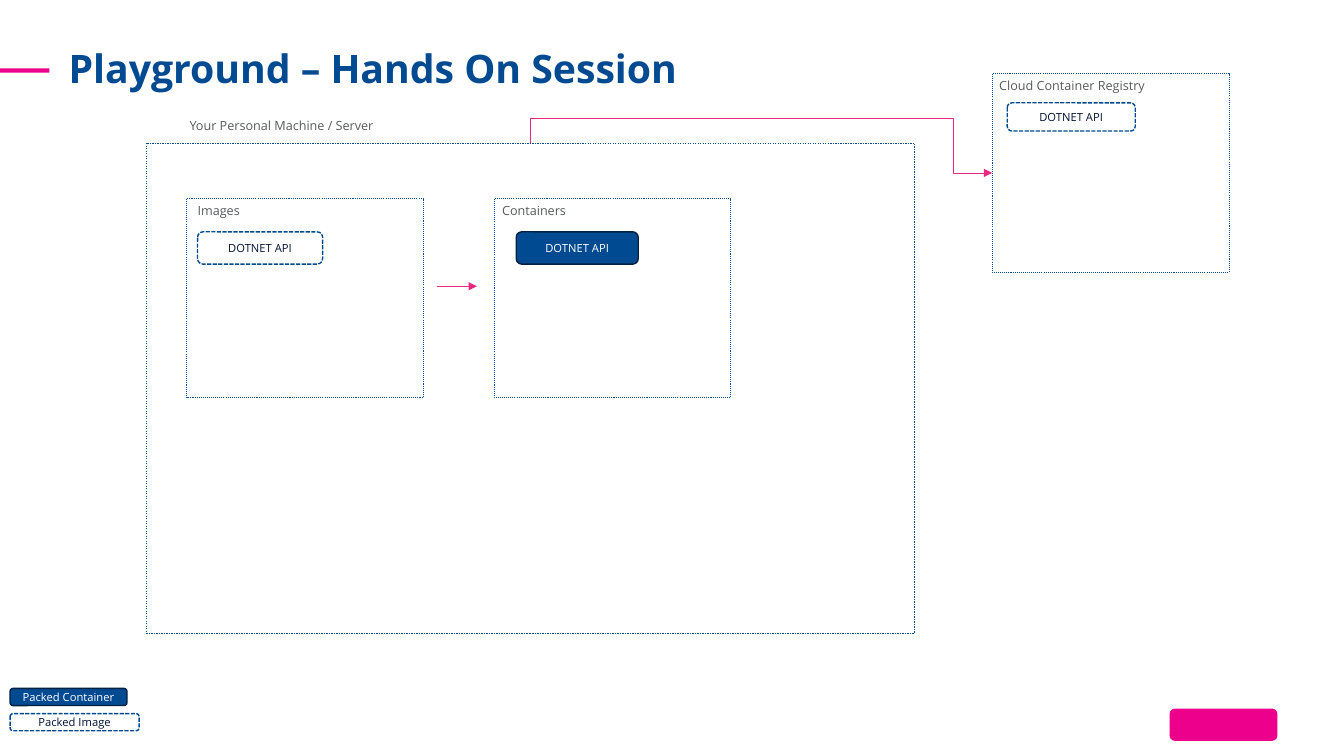
from lxml import etree
from pptx import Presentation
from pptx.dml.color import RGBColor
from pptx.enum.dml import MSO_LINE
from pptx.enum.shapes import MSO_CONNECTOR, MSO_SHAPE
from pptx.enum.text import MSO_ANCHOR, MSO_AUTO_SIZE, PP_ALIGN
from pptx.oxml.ns import qn
from pptx.util import Inches, Pt

RECT, ROUND = MSO_SHAPE.RECTANGLE, MSO_SHAPE.ROUNDED_RECTANGLE
STRAIGHT, ELBOW = MSO_CONNECTOR.STRAIGHT, MSO_CONNECTOR.ELBOW
DOT, SHORT, DASH = MSO_LINE.ROUND_DOT, MSO_LINE.SQUARE_DOT, MSO_LINE.DASH
MIDDLE, LEFT, CENTER = MSO_ANCHOR.MIDDLE, PP_ALIGN.LEFT, PP_ALIGN.CENTER
FIT, FIXED = MSO_AUTO_SIZE.SHAPE_TO_FIT_TEXT, MSO_AUTO_SIZE.NONE

HEX = {"blue": "004A91", "navy": "002040", "ink": "001233", "gray": "585A5B",
       "white": "FFFFFF", "pink": "EC008C", "rose": "E82982"}
FONT = "Open Sans"

# Places are columns and rows of a grid with 0.1 inch cells.
COLS, ROWS = 133.3, 75
CELL = Inches(0.1)

TITLE = "Playground – Hands On Session"
TITLE_AT = (6.8, 2.4, 119.9, 9.2)
BAR_AT = (0, 6.8, 4.9, 0.4)
MARK_AT = (116, 70.3, 10.7, 3.2)
SERVER_AT = (14.5, 14.2, 76.2, 48.6)
PANEL = (23.5, 19.7)
SPOTS = {"registry": (98.4, 7.3), "images": (18.5, 19.7), "containers": (49, 19.7)}

STYLES = {  # fill, line, line width, dash, text
    "image": ("white", "blue", 1, SHORT, "ink"),
    "container": ("blue", "navy", 1, None, "white"),
    "panel": ("white", "blue", 0.75, DOT, "ink"),
    "server": ("white", "blue", 0.25, DASH, "ink"),
    "bar": ("pink", None, 0, None, "white"),
}
CHIPS = [
    ("Packed Image", "image", (1, 70.8, 12.8, 1.7)),
    ("Packed Container", "container", (1, 68.3, 11.6, 1.7)),
    ("DOTNET API", "image", (99.9, 10.2, 12.7, 2.8)),
    ("DOTNET API", "image", (19.6, 23, 12.4, 3.2)),
    ("DOTNET API", "container", (51.2, 23, 12.1, 3.2)),
]
LABELS = [
    ("Your Personal Machine / Server", (18.8, 11.7, 23.5, 1.5)),
    ("Cloud Container Registry", (99.1, 7.7, 18.6, 1.5)),
    ("Images", (19.6, 20.1, 18.6, 1.5)),
    ("Containers", (49.8, 20.1, 18.6, 1.5)),
]
ARROW = (43.3, 28.4, 47.3, 28.4)
BENDS = {"adj1": -83700, "adj2": 91600}

deck = Presentation()
deck.slide_width, deck.slide_height = int(COLS * CELL), int(ROWS * CELL)
slide = deck.slides.add_slide(deck.slide_layouts[5])
shapes = slide.shapes


def grid(spot):
    return [int(n * CELL) for n in spot]


def tint(name):
    return RGBColor.from_string(HEX[name])


def write(shape, text, size, color, align=LEFT, bold=False):
    par = shape.text_frame.paragraphs[0]
    par.text, par.alignment = text, align
    look = {"name": FONT, "size": Pt(size), "bold": bold}
    for key, value in look.items():
        setattr(par.runs[0].font, key, value)
    par.runs[0].font.color.rgb = tint(color)
    return par


def frame(shape, **look):
    for key, value in look.items():
        setattr(shape.text_frame, key, value)


def bare(shape, **look):
    """Set a text frame that has no insets."""
    sides = ("left", "top", "right", "bottom")
    frame(shape, **{f"margin_{side}": 0 for side in sides}, **look)


def box(kind, style, spot, text=""):
    fill, edge, width, dash, ink = STYLES[style]
    shape = shapes.add_shape(kind, *grid(spot))
    shape.shadow.inherit = False
    shape.fill.solid()
    shape.fill.fore_color.rgb = tint(fill)
    if edge:
        shape.line.color.rgb = tint(edge)
        shape.line.width = Pt(width)
        shape.line.dash_style = dash
    else:
        shape.line.fill.background()
    if text:
        frame(shape, word_wrap=True, vertical_anchor=MIDDLE)
        write(shape, text, 8, ink, CENTER)
    return shape


def arrow(kind, ends, width):
    line = shapes.add_connector(kind, *ends)
    line.line.color.rgb = tint("rose")
    line.line.width = Pt(width)
    etree.SubElement(line.line._get_or_add_ln(), qn("a:tailEnd"), type="triangle")
    etree.SubElement(line._element.spPr, qn("a:effectLst"))
    return line


def route(start, goal):
    """Lead an elbow arrow out of the top of start and into the left of goal."""
    x1, y1 = start.left + start.width // 2, start.top
    x2, y2 = goal.left, goal.top + goal.height // 2
    line = arrow(ELBOW, (x1, y1, x2, y2), 0.5)
    line.begin_connect(start, 0)
    line.end_connect(goal, 1)
    wide, high = x2 - x1, y2 - y1
    line.left, line.top = (x1 + x2 - high) // 2, (y1 + y2 - wide) // 2
    line.width, line.height = high, wide
    props = line._element.spPr
    turn = props.find(qn("a:xfrm"))
    turn.set("rot", str(270 * 60000))
    turn.set("flipH", "1")
    geom = props.find(qn("a:prstGeom"))
    geom.set("prst", "bentConnector4")
    bends = geom.find(qn("a:avLst"))
    for name, value in BENDS.items():
        etree.SubElement(bends, qn("a:gd"), name=name, fmla=f"val {value}")


title = shapes.title
title.left, title.top, title.width, title.height = grid(TITLE_AT)
bare(title, word_wrap=True, auto_size=FIXED, vertical_anchor=MIDDLE)
write(title, TITLE, 28, "blue", bold=True).line_spacing = 0.9

box(RECT, "bar", BAR_AT)
box(ROUND, "bar", MARK_AT)
server = box(RECT, "server", SERVER_AT)
panels = {name: box(RECT, "panel", spot + PANEL) for name, spot in SPOTS.items()}
for text, style, spot in CHIPS:
    box(ROUND, style, spot, text)
route(server, panels["registry"])
for text, spot in LABELS:
    label = shapes.add_textbox(*grid(spot))
    bare(label, word_wrap=True, auto_size=FIT)
    write(label, text, 9, "gray")
arrow(STRAIGHT, grid(ARROW), 1)

deck.save("out.pptx")
